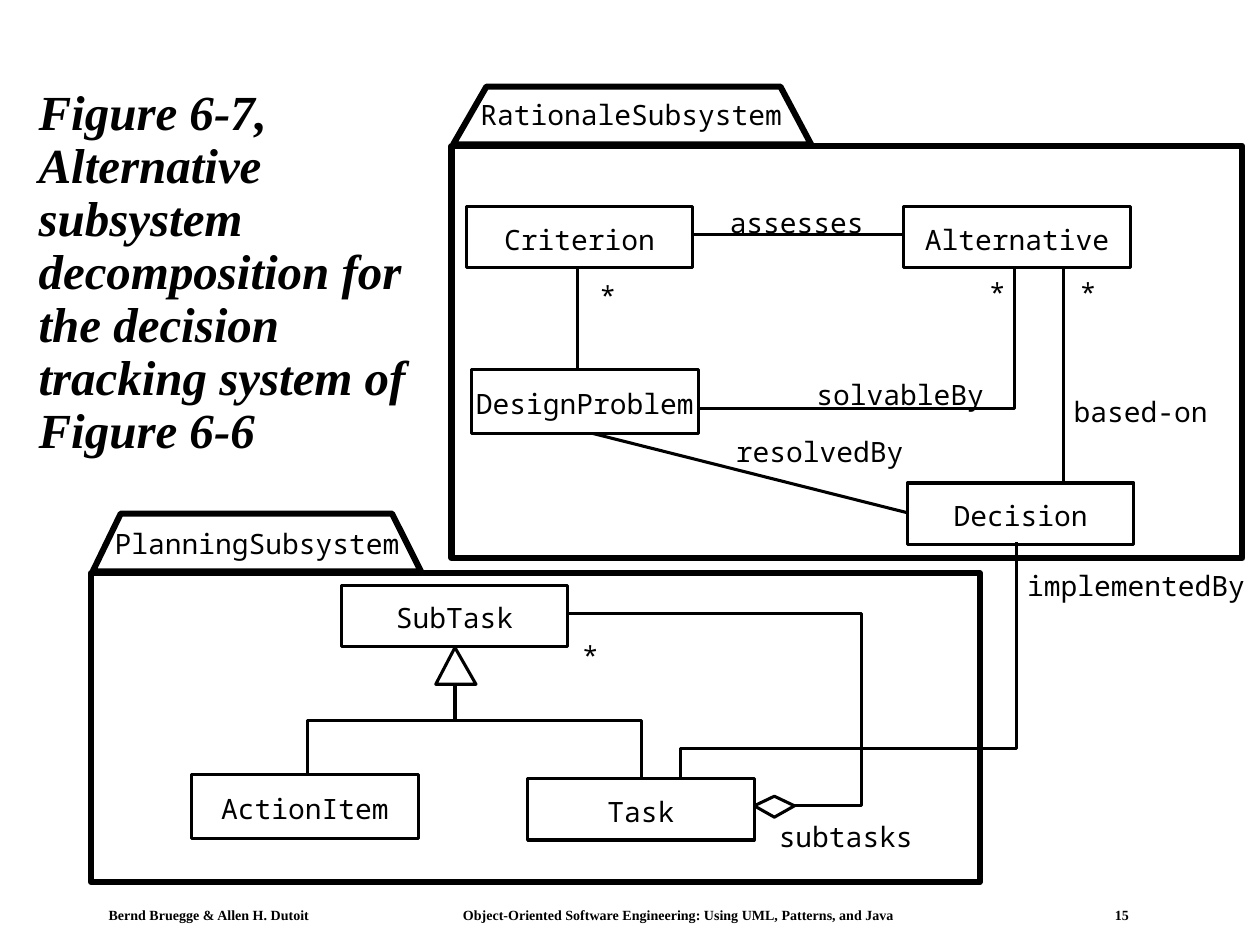
import pptx
import pptx.dml.color
import pptx.enum.shapes
import pptx.enum.text
import pptx.oxml.ns
import pptx.util
from lxml import etree

Pt = pptx.util.Pt
BLACK = pptx.dml.color.RGBColor(0x00, 0x00, 0x00)
WHITE = pptx.dml.color.RGBColor(0xFF, 0xFF, 0xFF)
SERIF = "Times New Roman"
MONO = "Noto Sans Mono"
THIN, THICK = 1.75, 3.5
CLASS_WIDTH, CLASS_HEIGHT = 129.5, 35
ALIGN = pptx.enum.text.PP_ALIGN
ANCHOR = pptx.enum.text.MSO_ANCHOR


def write_text(shape, text, font=MONO, size=16, bold=False, italic=False,
               align=ALIGN.LEFT, anchor=ANCHOR.TOP, wrap=False,
               margins=(0, 0, 0, 0), line_spacing=None, tabs=()):
    frame = shape.text_frame
    frame.word_wrap = wrap
    frame.vertical_anchor = anchor
    (frame.margin_left, frame.margin_top,
     frame.margin_right, frame.margin_bottom) = map(Pt, margins)
    paragraph = frame.paragraphs[0]
    paragraph.alignment = align
    if line_spacing:
        paragraph.line_spacing = line_spacing
    if tabs:
        qn = pptx.oxml.ns.qn
        tab_list = etree.SubElement(paragraph._p.get_or_add_pPr(), qn("a:tabLst"))
        for position in tabs:
            etree.SubElement(tab_list, qn("a:tab"), pos=str(Pt(position)), algn="l")
    run = paragraph.add_run()
    run.text = text
    run.font.name = font
    run.font.size = Pt(size)
    run.font.bold = bold
    run.font.italic = italic
    run.font.color.rgb = BLACK


def add_text(slide, box, text, **text_format):
    shape = slide.shapes.add_textbox(*map(Pt, box))
    write_text(shape, text, **text_format)


def add_label(slide, left, top, text):
    # Monospaced characters are 0.6 em wide
    add_text(slide, (left, top, len(text) * 9.6, 19.5), text)


def style_shape(shape, width=THIN, fill=None):
    shape.shadow.inherit = False
    if fill is None:
        shape.fill.background()
    else:
        shape.fill.solid()
        shape.fill.fore_color.rgb = fill
    shape.line.color.rgb = BLACK
    shape.line.width = Pt(width)


def add_rectangle(slide, box, **style):
    rectangle = slide.shapes.add_shape(
        pptx.enum.shapes.MSO_SHAPE.RECTANGLE, *map(Pt, box))
    style_shape(rectangle, **style)
    return rectangle


def add_path(slide, origin, points, close=False, **style):
    corners = [(Pt(origin[0] + x), Pt(origin[1] + y)) for x, y in points]
    builder = slide.shapes.build_freeform(*corners[0], scale=1.0)
    builder.add_line_segments(corners[1:], close=close)
    style_shape(builder.convert_to_shape(), **style)


def add_line(slide, origin, start, end):
    left, top = origin
    line = slide.shapes.add_connector(
        pptx.enum.shapes.MSO_CONNECTOR.STRAIGHT,
        Pt(left + start[0]), Pt(top + start[1]),
        Pt(left + end[0]), Pt(top + end[1]))
    line.line.color.rgb = BLACK
    line.line.width = Pt(THIN)
    etree.SubElement(line._element.spPr, pptx.oxml.ns.qn("a:effectLst"))


def add_class(slide, origin, name, left, top, height=CLASS_HEIGHT):
    box = (origin[0] + left, origin[1] + top, CLASS_WIDTH, height)
    rectangle = add_rectangle(slide, box, fill=WHITE)
    write_text(rectangle, name, align=ALIGN.CENTER, anchor=ANCHOR.MIDDLE,
               margins=(0, 2, 0, 0))


def add_package(slide, box, name, tab_top, tab_bottom, name_offset):
    """Draw the frame and, above it, the tab with the package name."""
    origin = box[:2]
    add_rectangle(slide, box, width=THICK)
    height = 34
    add_path(slide, origin,
             [(1, -1), (tab_top[0], -height), (tab_top[1], -height), (tab_bottom, -1)],
             close=True, width=THICK)
    add_label(slide, origin[0] + name_offset[0], origin[1] + name_offset[1], name)


def add_rationale_subsystem(slide, box):
    origin = box[:2]
    add_package(slide, box, "RationaleSubsystem", (20, 188), 205.5, (16.5, -27.5))

    # Associations
    for start, end in [((138, 50.5), (258.5, 50.5)),
                       ((72, 70), (72, 127.5)),
                       ((72, 162), (260.5, 209.5)),
                       ((350, 70), (350, 192.5))]:
        add_line(slide, origin, start, end)
    add_path(slide, origin, [(138, 150), (321.5, 150), (321.5, 70)])

    # Classes
    add_class(slide, origin, "Criterion", 8.5, 34.5)
    add_class(slide, origin, "Alternative", 258.5, 34.5)
    add_class(slide, origin, "DesignProblem", 11.5, 127.5, height=36.5)
    add_class(slide, origin, "Decision", 260.5, 192.5)

    # Association names and multiplicities
    for text, left, top in [("assesses", 159, 34), ("solvableBy", 208.5, 132),
                            ("resolvedBy", 162.5, 165), ("based-on", 355.5, 142),
                            ("*", 84.5, 75.5), ("*", 307, 74), ("*", 359, 74)]:
        add_label(slide, origin[0] + left, origin[1] + top, text)


def add_planning_subsystem(slide, box):
    origin = box[:2]
    add_package(slide, box, "PlanningSubsystem", (17, 172), 188.5, (13.5, -26.5))

    # Generalization tree and its triangle
    add_path(slide, origin, [(124, 115), (124, 84.5), (314.5, 84.5), (314.5, 117.5)])
    add_line(slide, origin, (208, 84.5), (208, 63.5))
    add_path(slide, origin, [(197, 63.5), (208, 42.5), (220, 63.5)],
             close=True, fill=WHITE)

    # Aggregation and its diamond
    add_path(slide, origin, [(271, 23), (440.5, 23), (440.5, 133), (402, 133)])
    add_path(slide, origin, [(379, 133), (390.5, 127.5), (402, 133), (390.5, 139.5)],
             close=True, fill=WHITE)

    # Classes
    add_class(slide, origin, "SubTask", 143, 7)
    add_class(slide, origin, "ActionItem", 57.5, 115, height=36.5)
    add_class(slide, origin, "Task", 249.5, 117.5)

    # Role name and multiplicity
    add_label(slide, origin[0] + 393, origin[1] + 141, "subtasks")
    add_label(slide, origin[0] + 280.5, origin[1] + 37.5, "*")


def add_implementation_link(slide, box):
    left, top, width, height = box
    add_path(slide, (left, top),
             [(width, 0), (width, height - 17.5), (0, height - 17.5), (0, height)])
    add_label(slide, left + width + 6, top + 15, "implementedBy")


def add_title(slide, box):
    add_text(slide, box,
             "Figure 6-7, Alternative subsystem decomposition for the decision "
             "tracking system of Figure 6-6",
             font=SERIF, size=28, bold=True, italic=True, wrap=True,
             anchor=ANCHOR.MIDDLE, margins=(7.2, 3.6, 7.2, 3.6), line_spacing=0.9)


def add_footer(slide, box):
    add_text(slide, box,
             "Bernd Bruegge & Allen H. Dutoit\tObject-Oriented Software Engineering: "
             "Using UML, Patterns, and Java\t15",
             font=SERIF, size=8, bold=True, wrap=True,
             margins=(6, 3, 6, 3), tabs=(202.5, 575))


def main():
    presentation = pptx.Presentation()
    presentation.slide_width = Pt(720)
    presentation.slide_height = Pt(540)
    slide = presentation.slides.add_slide(presentation.slide_layouts[6])
    add_footer(slide, (56, 515, 600, 15))
    add_rationale_subsystem(slide, (258, 83.5, 452, 235.5))
    add_planning_subsystem(slide, (52, 327.5, 508, 176.5))
    add_implementation_link(slide, (389, 310, 192, 135))
    add_title(slide, (15, 23, 240, 267))
    presentation.save("out.pptx")


if __name__ == "__main__":
    main()
